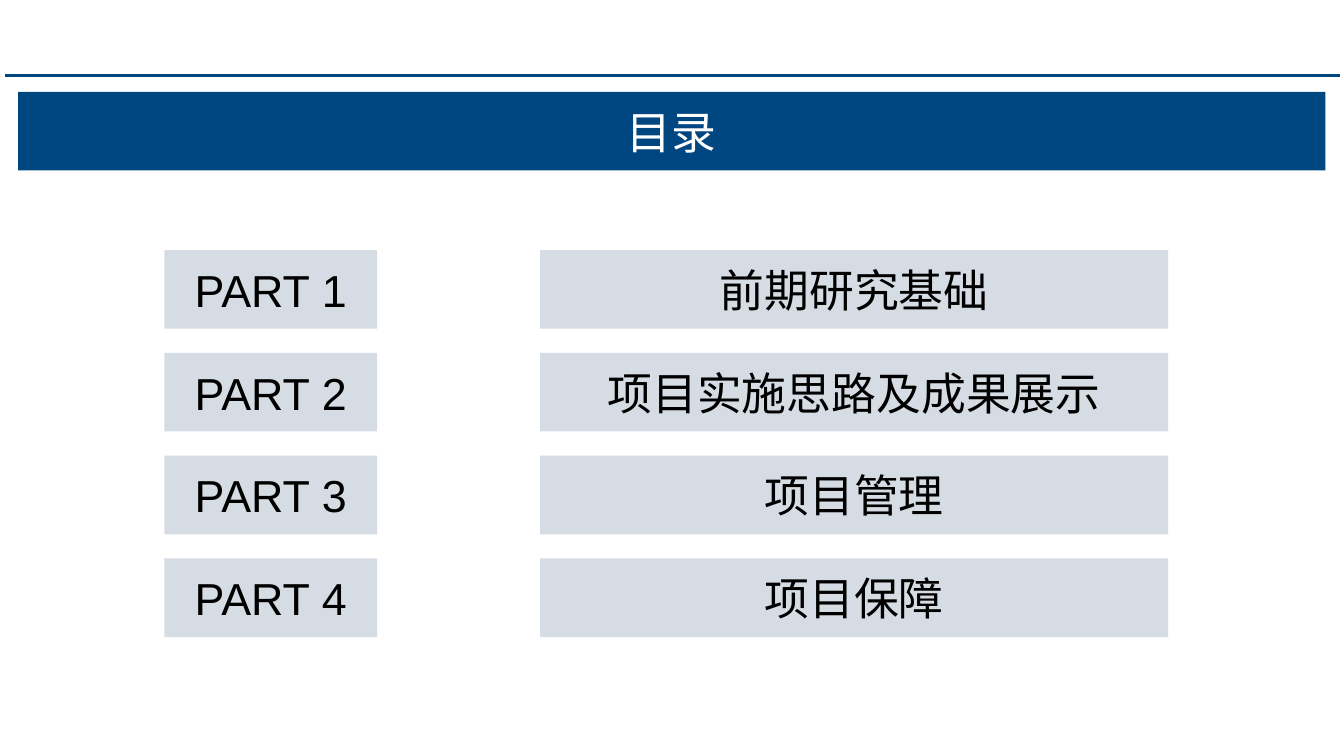
"""Build a table-of-contents slide with four numbered parts."""
import dataclasses

import pptx
import pptx.dml.color
import pptx.enum.shapes
import pptx.enum.text
import pptx.oxml.ns
import pptx.util
import lxml.etree

TITLE = "目录"
PARTS = ["前期研究基础", "项目实施思路及成果展示", "项目管理", "项目保障"]


@dataclasses.dataclass(frozen=True)
class Theme:
    font: str = "Arial"
    size: float = 32
    rule: str = "00467F"
    title_fill: str = "004781"
    title_text: str = "FFFFFF"
    part_fill: str = "D6DCE3"
    part_text: str = "000000"


THEME = Theme()
SLIDE_W, SLIDE_H = 960, 540
RULE_X1, RULE_X2, RULE_Y, RULE_W = 3.6, 956.9, 54, 2.25
BOX_H = 56.2
TITLE_X, TITLE_Y, TITLE_W = 13, 65.6, 933.8
LABEL_X, LABEL_W = 117.4, 152
NAME_X, NAME_W = 385.9, 448.6
ROW_Y, ROW_STEP = 178.6, 73.44


def rgb(value):
    return pptx.dml.color.RGBColor.from_string(value)


def add_rule(s):
    ends = [pptx.util.Pt(v) for v in (RULE_X1, RULE_Y, RULE_X2, RULE_Y)]
    sp = s.shapes.add_connector(pptx.enum.shapes.MSO_CONNECTOR.STRAIGHT, *ends)
    sp.line.color.rgb = rgb(THEME.rule)
    sp.line.width = pptx.util.Pt(RULE_W)
    props = sp._element.spPr
    lxml.etree.SubElement(props, pptx.oxml.ns.qn("a:effectLst"))


def add_box(s, text, x, y, w, fill, color):
    frame = [pptx.util.Pt(v) for v in (x, y, w, BOX_H)]
    sp = s.shapes.add_shape(pptx.enum.shapes.MSO_SHAPE.RECTANGLE, *frame)
    sp.shadow.inherit = False
    sp.fill.solid()
    sp.fill.fore_color.rgb = rgb(fill)
    sp.line.fill.background()
    tf = sp.text_frame
    tf.word_wrap = True
    tf.vertical_anchor = pptx.enum.text.MSO_ANCHOR.MIDDLE
    p = tf.paragraphs[0]
    p.alignment = pptx.enum.text.PP_ALIGN.CENTER
    r = p.add_run()
    r.text = text
    r.font.name = THEME.font
    r.font.size = pptx.util.Pt(THEME.size)
    r.font.color.rgb = rgb(color)


def main():
    prs = pptx.Presentation()
    prs.slide_width = pptx.util.Pt(SLIDE_W)
    prs.slide_height = pptx.util.Pt(SLIDE_H)
    s = prs.slides.add_slide(prs.slide_layouts[6])
    add_rule(s)
    add_box(s, TITLE, TITLE_X, TITLE_Y, TITLE_W, THEME.title_fill, THEME.title_text)
    for i, name in enumerate(PARTS):
        y = ROW_Y + i * ROW_STEP
        for text, x, w in ((f"PART {i + 1}", LABEL_X, LABEL_W), (name, NAME_X, NAME_W)):
            add_box(s, text, x, y, w, THEME.part_fill, THEME.part_text)
    prs.save("out.pptx")


if __name__ == "__main__":
    main()
